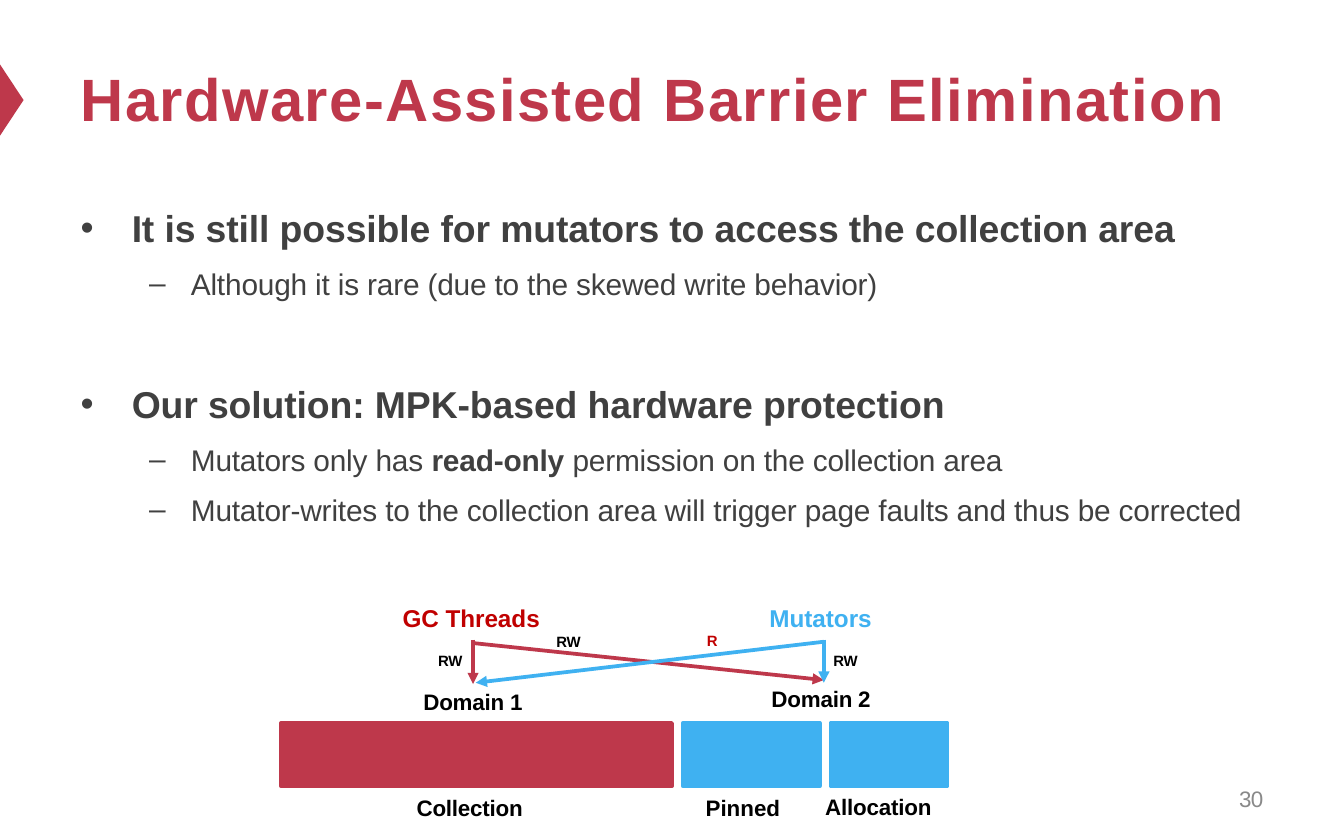
from pptx import Presentation
from pptx import util as u
from pptx.dml.color import RGBColor
from pptx.enum import shapes, text
from pptx.oxml.ns import qn
from lxml import etree

COLORS = {"crimson": "BE384B", "sky": "3FB1F1", "red": "C00000",
          "body": "404040", "gray": "898989", "black": "000000"}

presentation = Presentation()
presentation.slide_width, presentation.slide_height = u.Inches(10), u.Inches(6.25)
slide = presentation.slides.add_slide(presentation.slide_layouts[5])
# Grid of 100 columns by 62.5 rows
column = presentation.slide_width / 100
row = presentation.slide_height / 62.5


def grid(left, top, width, height):
    return int(left * column), int(top * row), int(width * column), int(height * row)


def write(shape, content, size=12, color="black", bold=True, spacing=-0.1,
          before=1, inset=0.01, wrap=False, new=False):
    """Write one paragraph of (words, bold) runs or plain text, and return it."""
    frame = shape.text_frame
    frame.word_wrap = wrap
    frame.auto_size = text.MSO_AUTO_SIZE.NONE
    frame.vertical_anchor = text.MSO_ANCHOR.TOP
    frame.margin_left = frame.margin_right = frame.margin_bottom = 0
    frame.margin_top = u.Inches(inset)
    paragraph = frame.add_paragraph() if new else frame.paragraphs[0]
    paragraph.alignment = text.PP_ALIGN.LEFT
    paragraph.space_before = u.Pt(before)
    runs = [(content, bold)] if isinstance(content, str) else content
    for words, is_bold in runs:
        run = paragraph.add_run()
        run.text = words
        run.font.name, run.font.size, run.font.bold = "Arial", u.Pt(size), is_bold
        run.font.color.rgb = RGBColor.from_string(COLORS[color])
        run.font._element.set("spc", str(round(spacing * 100)))
    return paragraph


# Title and its marker
builder = slide.shapes.build_freeform(0, int(4.8 * row))
builder.add_line_segments([(int(1.75 * column), int(7.45 * row)), (0, int(10.1 * row))])
marker = builder.convert_to_shape()
marker.shadow.inherit = False
marker.fill.solid()
marker.fill.fore_color.rgb = RGBColor.from_string(COLORS["crimson"])
marker.line.fill.background()

title = slide.shapes.title
title.left, title.top, title.width, title.height = grid(6, 4.5, 85.8, 5.6)
write(title, "Hardware-Assisted Barrier Elimination", size=32, color="crimson", spacing=0.77)

# Bulleted text: level, space before, content
points = [
    (0, 11.1, "It is still possible for mutators to access the collection area"),
    (1, 8.1, "Although it is rare (due to the skewed write behavior)"),
    (0, 43, "Our solution: MPK-based hardware protection"),
    (1, 8.1, [("Mutators only has ", False), ("read-only ", True),
              ("permission on the collection area", False)]),
    (1, 7.7, "Mutator-writes to the collection area will trigger page faults and thus be corrected"),
]
LEVELS = [(20, True, "•", 0.39, -0.38), (16, False, "–", 0.83, -0.31)]
body = slide.shapes.add_textbox(*grid(5.9, 13.8, 88.5, 25.6))
for index, (level, before, content) in enumerate(points):
    size, bold, bullet, margin, indent = LEVELS[level]
    paragraph = write(body, content, size=size, color="body", bold=bold, before=before,
                      spacing=-0.08, inset=0.15, wrap=True, new=index > 0)
    paragraph.level = level
    properties = paragraph._p.get_or_add_pPr()
    properties.set("marL", str(u.Inches(margin)))
    properties.set("indent", str(u.Inches(indent)))
    etree.SubElement(properties, qn("a:buFont")).set("typeface", "Arial")
    etree.SubElement(properties, qn("a:buChar")).set("char", bullet)

# Memory areas
for left, width, color in [(20.9, 29.1, "crimson"), (50.8, 10.2, "sky"), (61.8, 8.7, "sky")]:
    area = slide.shapes.add_shape(shapes.MSO_SHAPE.RECTANGLE, *grid(left, 53.8, width, 4.7))
    area.shadow.inherit = False
    area.fill.solid()
    area.fill.fore_color.rgb = area.line.color.rgb = RGBColor.from_string(COLORS[color])
    area.line.width = u.Pt(2)

# Access arrows from threads to domains
for start_x, start_y, end_x, end_y, color in [
        (35.2, 47.6, 35.2, 50.9, "crimson"), (35.2, 47.85, 61.3, 50.6, "crimson"),
        (61.3, 47.6, 61.3, 50.8, "sky"), (61.3, 47.75, 35.4, 50.8, "sky")]:
    arrow = slide.shapes.add_connector(
        shapes.MSO_CONNECTOR.STRAIGHT, int(start_x * column), int(start_y * row),
        int(end_x * column), int(end_y * row))
    arrow.line.width = u.Pt(2)
    arrow.line.color.rgb = RGBColor.from_string(COLORS[color])
    etree.SubElement(arrow.line._get_or_add_ln(), qn("a:tailEnd")).set("type", "triangle")
    etree.SubElement(arrow._element.spPr, qn("a:effectLst"))

# Labels: left, top, width, words, format
labels = [
    (31, 59, 8.3, "Collection", {}),
    (52.5, 59, 5.8, "Pinned", {"spacing": 0}),
    (61.4, 58.9, 8.3, "Allocation", {}),
    (31.5, 51.1, 7.8, "Domain 1", {}),
    (57.4, 50.9, 7.8, "Domain 2", {}),
    (29.95, 44.8, 10.5, "GC Threads", {"size": 13, "color": "red", "spacing": 0}),
    (57.25, 44.8, 7.9, "Mutators", {"size": 13, "color": "sky", "spacing": 0}),
    (32.6, 48.4, 2.1, "RW", {"size": 8}),
    (41.4, 47, 2.1, "RW", {"size": 8}),
    (62, 48.4, 2.1, "RW", {"size": 8}),
    (52.6, 46.9, 1.1, "R", {"size": 8, "color": "red", "spacing": 0}),
    (92.2, 58.3, 2, "30", {"color": "gray", "bold": False, "spacing": -0.3}),
]
for left, top, width, words, style in labels:
    height = 1.6 if style.get("size") == 8 else 2.3
    write(slide.shapes.add_textbox(*grid(left, top, width, height)), words, **style)

presentation.save("out.pptx")
